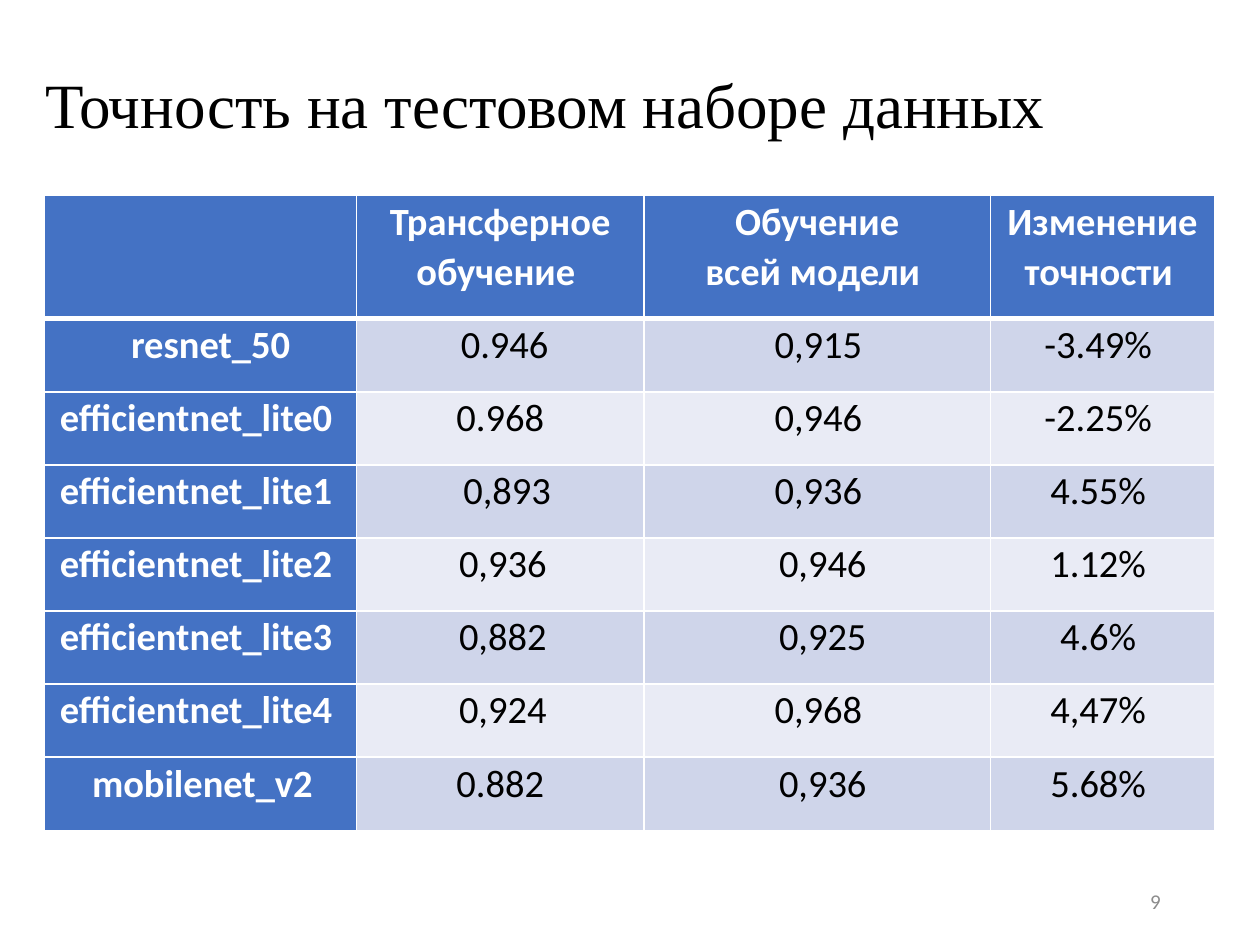
from lxml.etree import SubElement
from pptx import Presentation
from pptx.dml.color import RGBColor
from pptx.enum.text import MSO_ANCHOR as Anchor, PP_ALIGN as Align
from pptx.oxml.ns import qn
from pptx.util import Inches, Pt

BLUE, WHITE, BLACK, GREY = "4472C4", "FFFFFF", "000000", "8C8C8C"
BANDS = ("CFD5EA", "E9EBF5")
COLUMN_WIDTHS = (2.48, 2.28, 2.75, 1.78)
HEADER_HEIGHT, ROW_HEIGHT = 0.98, 0.58
HEADERS = ("", "Трансферное\nобучение ", "Обучение\nвсей модели ", "Изменение точности ")
RESULTS = (
    ("resnet_50 ", "0.946", "0,915 ", "-3.49% "),
    ("efficientnet_lite0 ", "0.968 ", "0,946 ", "-2.25% "),
    ("efficientnet_lite1 ", "0,893", "0,936 ", "4.55% "),
    ("efficientnet_lite2 ", "0,936 ", "0,946", "1.12% "),
    ("efficientnet_lite3 ", "0,882 ", "0,925", "4.6% "),
    ("efficientnet_lite4 ", "0,924 ", "0,968 ", "4,47% "),
    ("mobilenet_v2 ", "0.882 ", "0,936", "5.68% "),
)
NAME_MARGINS = {"resnet_50 ": 0.24, "mobilenet_v2 ": 0.11}


def colour(value):
    """Turn a hex string into a colour."""
    return RGBColor.from_string(value)


def write_text(frame, text, size=22, font="Calibri", color=BLACK, bold=False,
               align=Align.CENTER, spacing=None, after=None, margin=None):
    """Fill a text frame with one formatted paragraph for each line."""
    for index, line in enumerate(text.split("\n")):
        para = frame.add_paragraph() if index else frame.paragraphs[0]
        para.alignment = align
        para.line_spacing = spacing
        if after is not None:
            para.space_after = Pt(after)
        if margin is not None:
            properties = para._p.get_or_add_pPr()
            properties.set("marL", str(Inches(margin)))
            properties.set("indent", str(Inches(-0.01)))
        span = para.add_run()
        span.text = line
        span.font.size = Pt(size)
        span.font.name = font
        span.font.bold = bold
        span.font.color.rgb = colour(color)


def add_borders(cell, top, bottom):
    """Draw white borders around a table cell, with widths in points."""
    properties = cell._tc.get_or_add_tcPr()
    for side, width in (("L", 1), ("R", 1), ("T", top), ("B", bottom)):
        line = SubElement(properties, qn(f"a:ln{side}"), w=str(Pt(width)))
        fill = SubElement(line, qn("a:solidFill"))
        SubElement(fill, qn("a:srgbClr"), val=WHITE)


def left_margin(column, text):
    """Give the left paragraph margin of a result cell in inches."""
    if column == 0:
        return NAME_MARGINS.get(text, 0.01)
    if column == 1:
        return 0.08 if "." in text else 0.12
    return 0.1 if column == 2 else 0.01


def fill_cell(cell, text, row, column):
    """Format one table cell according to its row and column."""
    heading = row == 0 or column == 0
    add_borders(cell, top=3 if row == 1 else 1, bottom=3 if row == 0 else 1)
    cell.fill.solid()
    cell.fill.fore_color.rgb = colour(BLUE if heading else BANDS[(row - 1) % 2])
    cell.margin_left = cell.margin_right = cell.margin_top = cell.margin_bottom = 0
    if text:
        write_text(cell.text_frame, text, color=WHITE if heading else BLACK, bold=heading,
                   spacing=1.07, after=0.1,
                   margin=left_margin(column, text) if row else 0.01)


def place_title(page, box):
    """Place the slide title in the given box."""
    title = page.shapes.title
    title.left, title.top, title.width, title.height = map(Inches, box)
    title.text_frame.vertical_anchor = Anchor.MIDDLE
    write_text(title.text_frame, "Точность на тестовом наборе данных", size=36,
               font="Times New Roman", align=Align.LEFT, spacing=0.9)


def place_results(page, box):
    """Place the accuracy table in the given box."""
    rows = (HEADERS, *RESULTS)
    table = page.shapes.add_table(len(rows), len(HEADERS), *map(Inches, box)).table
    for column, width in zip(table.columns, COLUMN_WIDTHS):
        column.width = Inches(width)
    for index, values in enumerate(rows):
        table.rows[index].height = Inches(ROW_HEIGHT if index else HEADER_HEIGHT)
        for column, text in enumerate(values):
            fill_cell(table.cell(index, column), text, index, column)


def place_page_number(page, box):
    """Place the page number in the given box."""
    frame = page.shapes.add_textbox(*map(Inches, box)).text_frame
    frame.word_wrap = True
    frame.vertical_anchor = Anchor.MIDDLE
    write_text(frame, "9", size=12, color=GREY, align=Align.RIGHT)


def main():
    """Build the slide and save the deck."""
    deck = Presentation()
    deck.slide_width, deck.slide_height = Inches(10), Inches(7.5)
    page = deck.slides.add_slide(deck.slide_layouts[5])
    place_title(page, (0.26, 0.13, 9.3, 1.45))
    place_results(page, (0.35, 1.55, 9.3, 5.05))
    place_page_number(page, (7.06, 6.95, 2.25, 0.4))
    deck.save("out.pptx")


if __name__ == "__main__":
    main()
